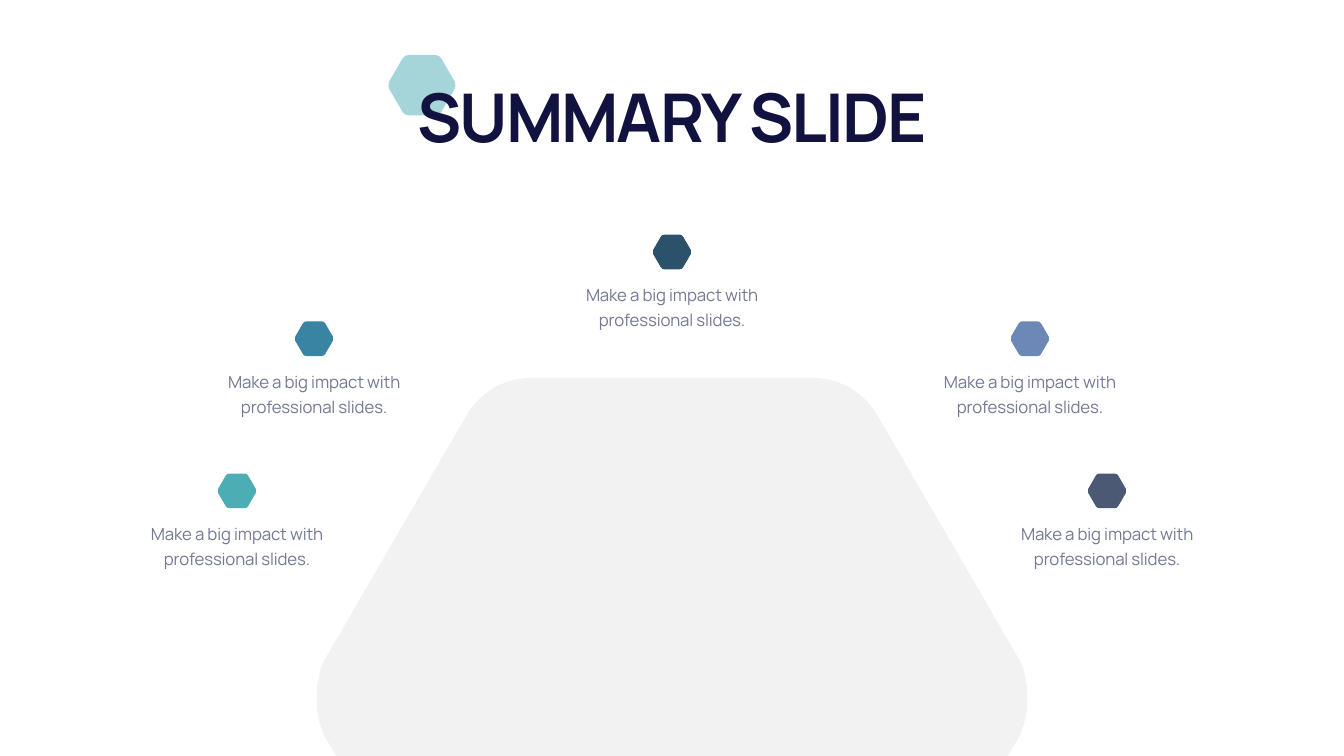
from dataclasses import dataclass

from lxml.etree import Element, SubElement
from pptx import Presentation
from pptx.dml.color import RGBColor
from pptx.enum.text import MSO_ANCHOR, MSO_AUTO_SIZE, PP_ALIGN
from pptx.oxml.ns import qn
from pptx.shapes.autoshape import Shape
from pptx.slide import Slide
from pptx.util import Inches, Pt

Corner = list[tuple[float, float]]

SLIDE_WIDTH, SLIDE_HEIGHT = 26.66, 15
CENTER_X = SLIDE_WIDTH / 2
FONT = "Manrope"
COLORS = {
    "title": "111240",
    "body": "747994",
    "panel": "F2F2F2",
    "teal": "4DADB5",
    "blue": "3984A3",
    "navy": "2B526A",
    "periwinkle": "6C88B7",
    "slate": "4C5974",
}
PANEL_RADIUS = 7.1
TOP_CORNER = [(2.8, -6.35), (3.33, -6.35), (3.82, -6.06), (4.08, -5.6)]
SIDE_CORNER = [(6.9, -0.74), (7.1, -0.29), (7.1, 0.29), (6.9, 0.74)]
BOTTOM_CORNER = [(x, -y) for x, y in reversed(TOP_CORNER)]
CUT_CORNER = [(6.66, 1.15)]


@dataclass
class Hexagon:
    center_x: float
    center_y: float
    radius: float
    color: str
    opacity: int = 100
    cut: bool = False


@dataclass
class TextStyle:
    size: float
    color: str
    tracking: float
    bold: bool = False
    line_spacing: float | None = None
    anchor: MSO_ANCHOR = MSO_ANCHOR.TOP


@dataclass
class Item:
    center_x: float
    center_y: float
    color: str


TITLE_STYLE = TextStyle(96, "title", -2.9, bold=True, anchor=MSO_ANCHOR.BOTTOM)
BODY_STYLE = TextStyle(24, "body", -0.2, line_spacing=36)
BODY_TEXT = "Make a big impact with professional slides."
ITEMS = [
    Item(4.7, 9.74, "teal"),
    Item(6.23, 6.72, "blue"),
    Item(CENTER_X, 5, "navy"),
    Item(SLIDE_WIDTH - 6.23, 6.72, "periwinkle"),
    Item(SLIDE_WIDTH - 4.7, 9.74, "slate"),
]


def hexagon_corners(cut: bool) -> list[Corner]:
    right = [TOP_CORNER, SIDE_CORNER, CUT_CORNER if cut else BOTTOM_CORNER]
    left = [[(-x, y) for x, y in reversed(corner)] for corner in reversed(right)]
    return right + left


def round_corners(shape: Shape, corners: list[Corner]) -> None:
    outline = next(shape.element.iter(qn("a:path")))
    vertices = list(outline)
    first = 0
    for corner in corners:
        if len(corner) == 4:
            curve = Element(qn("a:cubicBezTo"))
            vertices[first + 1].addprevious(curve)
            for vertex in vertices[first + 1:first + 4]:
                curve.append(vertex[0])
                outline.remove(vertex)
        first += len(corner)


def add_hexagon(slide: Slide, hexagon: Hexagon) -> Shape:
    corners = hexagon_corners(hexagon.cut)
    scale = hexagon.radius / PANEL_RADIUS
    points = [
        (Inches(hexagon.center_x + x * scale), Inches(hexagon.center_y + y * scale))
        for corner in corners for x, y in corner
    ]
    builder = slide.shapes.build_freeform(*points[0])
    builder.add_line_segments(points[1:], close=True)
    shape = builder.convert_to_shape()
    round_corners(shape, corners)
    shape.shadow.inherit = False
    shape.line.fill.background()
    shape.fill.solid()
    shape.fill.fore_color.rgb = RGBColor.from_string(COLORS[hexagon.color])
    if hexagon.opacity < 100:
        color = shape.element.spPr.find(qn("a:solidFill"))[0]
        SubElement(color, qn("a:alpha"), val=str(hexagon.opacity * 1000))
    return shape


def add_text(slide: Slide, text: str, center_x: float, top: float,
             width: float, height: float, style: TextStyle) -> Shape:
    left = center_x - width / 2
    shape = slide.shapes.add_textbox(*map(Inches, (left, top, width, height)))
    text_frame = shape.text_frame
    text_frame.word_wrap = True
    text_frame.auto_size = MSO_AUTO_SIZE.SHAPE_TO_FIT_TEXT
    text_frame.vertical_anchor = style.anchor
    text_frame.text = text
    paragraph = text_frame.paragraphs[0]
    paragraph.alignment = PP_ALIGN.CENTER
    if style.line_spacing:
        paragraph.line_spacing = Pt(style.line_spacing)
    run = paragraph.runs[0]
    run.font.name = FONT
    run.font.size = Pt(style.size)
    run.font.bold = style.bold
    run.font.color.rgb = RGBColor.from_string(COLORS[style.color])
    run._r.get_or_add_rPr().set("spc", str(round(style.tracking * 100)))
    return shape


def main() -> None:
    presentation = Presentation()
    presentation.slide_width = Inches(SLIDE_WIDTH)
    presentation.slide_height = Inches(SLIDE_HEIGHT)
    slide = presentation.slides.add_slide(presentation.slide_layouts[6])
    add_hexagon(slide, Hexagon(8.37, 1.69, 0.67, "teal", opacity=50))
    add_hexagon(slide, Hexagon(CENTER_X, 13.85, PANEL_RADIUS, "panel", cut=True))
    add_text(slide, "SUMMARY SLIDE", CENTER_X, 1.42, 23.33, 1.72, TITLE_STYLE)
    for item in ITEMS:
        add_text(slide, BODY_TEXT, item.center_x, item.center_y + 0.5, 4.28, 1.08, BODY_STYLE)
    for item in ITEMS:
        add_hexagon(slide, Hexagon(item.center_x, item.center_y, 0.385, item.color))
    presentation.save("out.pptx")


main()
